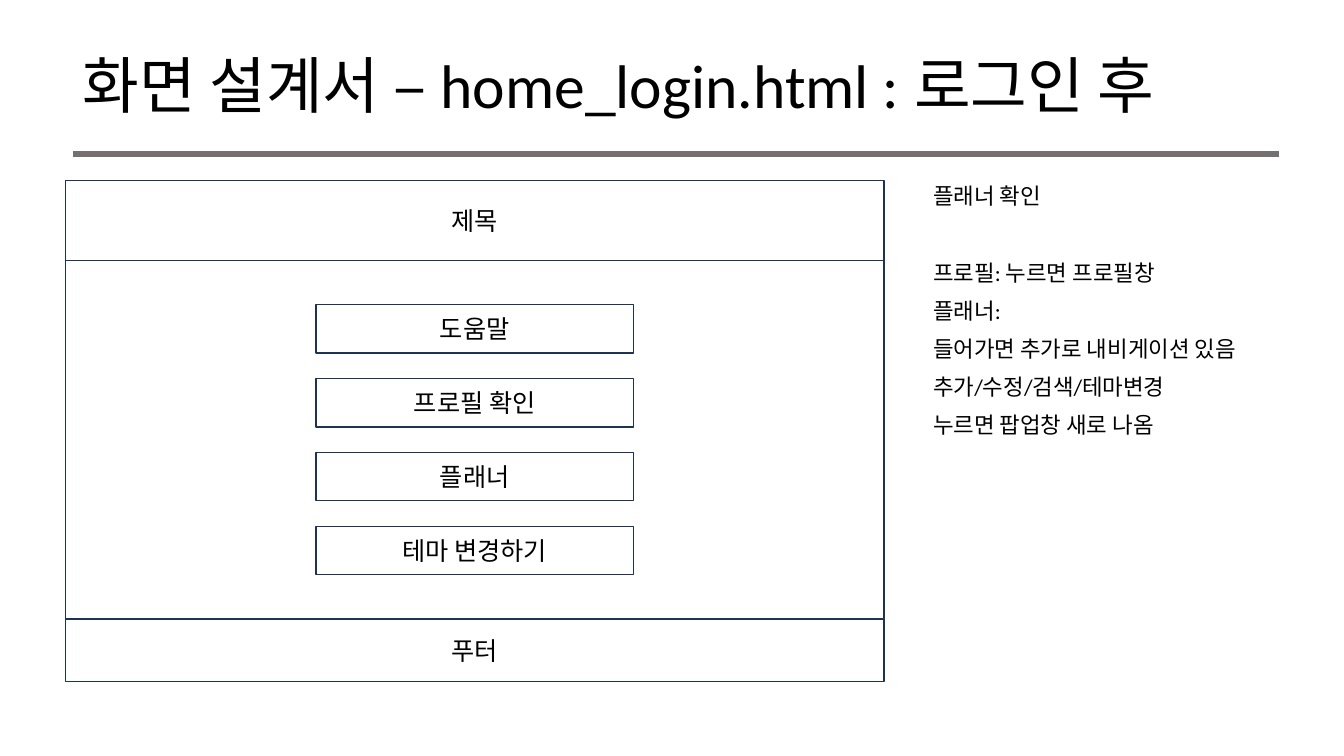
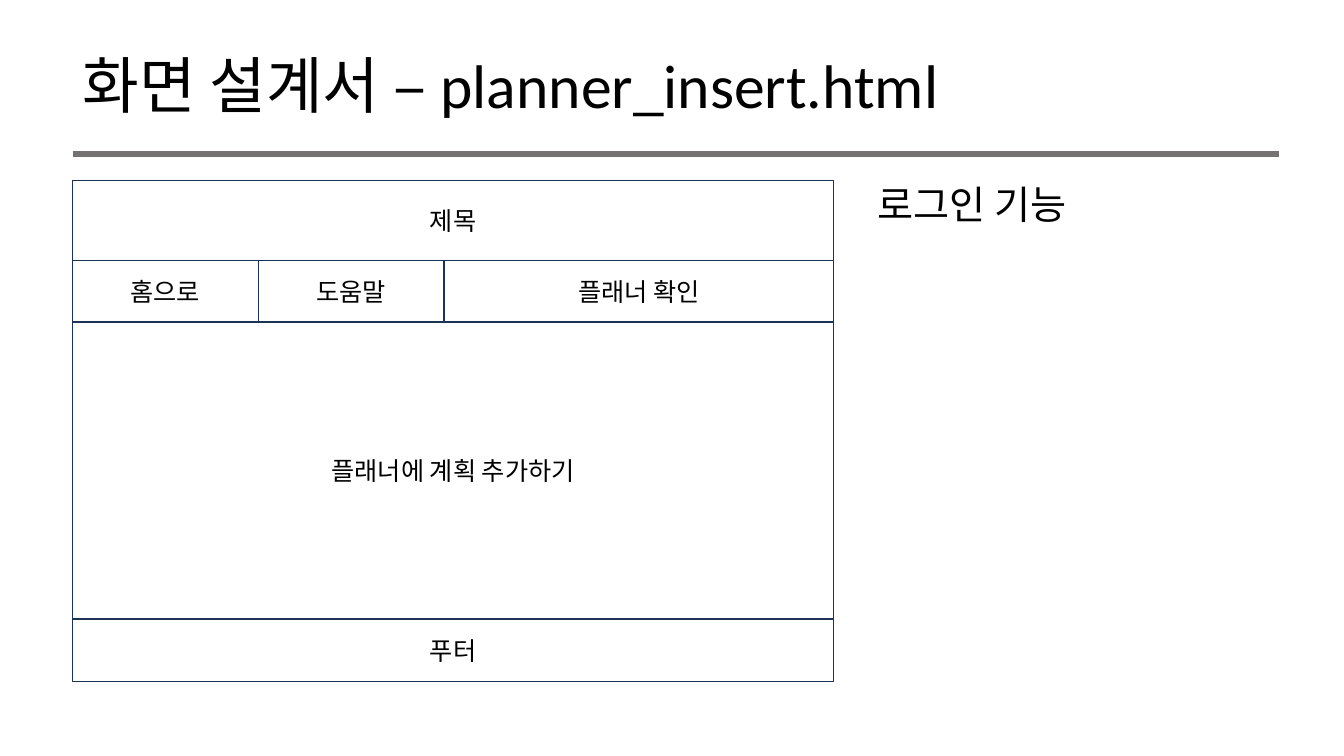
"""Builds two screen design slides with wireframes and notes."""
import pptx
import pptx.util
import pptx.dml.color
import pptx.enum.shapes
import pptx.enum.text
import lxml.etree

Pt = pptx.util.Pt
RGB = pptx.dml.color.RGBColor
MID = pptx.enum.text.MSO_ANCHOR.MIDDLE
TOP = pptx.enum.text.MSO_ANCHOR.TOP
CENTER = pptx.enum.text.PP_ALIGN.CENTER
RECT = pptx.enum.shapes.MSO_SHAPE.RECTANGLE
BLACK = RGB(0x00, 0x00, 0x00)
WHITE = RGB(0xFF, 0xFF, 0xFF)
NAVY = RGB(0x1E, 0x32, 0x56)
GRAY = RGB(0x76, 0x71, 0x71)

LEFT, RIGHT = 51.8, 913.7
HEAD, NAV, BODY, FOOT, END = 128.9, 186, 230, 442, 486.7
RULE = 110.2
BUTTON, STEP = (226.8, 34.6), 52.8

TITLE = {"line_spacing": 0.9}
NOTE = {"line_spacing": 0.9, "space_before": Pt(10)}
GAP = {"line_spacing": 0.9, "space_before": Pt(37.4)}
LABEL = {"alignment": CENTER}

SCREENS = [
    {
        "title": "화면 설계서 – home_login.html : 로그인 후",
        "frame": (46.8, 584.6),
        "nav": [],
        "body": "",
        "buttons": ["도움말", "프로필 확인", "플래너", "테마 변경하기"],
        "side": 659.5,
        "size": 16,
        "notes": [
            ("플래너 확인", NOTE),
            ("프로필: 누르면 프로필창", GAP),
            ("플래너:", NOTE),
            ("들어가면 추가로 내비게이션 있음", NOTE),
            ("추가/수정/검색/테마변경", NOTE),
            ("누르면 팝업창 새로 나옴", NOTE),
        ],
    },
    {
        "title": "화면 설계서 – planner_insert.html",
        "frame": (LEFT, 543.6),
        "nav": [("홈으로", 132.7), ("도움말", 132.7), ("플래너 확인", 278.2)],
        "body": "플래너에 계획 추가하기",
        "buttons": [],
        "side": 619.9,
        "size": 28,
        "notes": [("로그인 기능", NOTE)],
    },
]


def apply(item, values):
    for name, value in values.items():
        setattr(item, name, value)


def write(frame, lines, size, anchor):
    apply(frame, {"word_wrap": True, "vertical_anchor": anchor})
    for i, (text, form) in enumerate(lines):
        para = frame.add_paragraph() if i else frame.paragraphs[0]
        apply(para, form)
        run = para.add_run()
        run.text = text
        apply(run.font, {"size": Pt(size), "name": "Calibri"})
        run.font.color.rgb = BLACK


def add_text(slide, x, y, h, lines, size, anchor):
    box = slide.shapes.add_textbox(Pt(x), Pt(y), Pt(RIGHT - x), Pt(h))
    write(box.text_frame, lines, size, anchor)


def add_rule(slide):
    kind = pptx.enum.shapes.MSO_CONNECTOR.STRAIGHT
    rule = slide.shapes.add_connector(kind, Pt(LEFT), Pt(RULE), Pt(RIGHT), Pt(RULE))
    rule.line.color.rgb = GRAY
    rule.line.width = Pt(4.5)
    tag = pptx.oxml.ns.qn("a:effectLst")
    lxml.etree.SubElement(rule.line._get_or_add_ln().getparent(), tag)


def add_cell(slide, text, x, y, w, h):
    cell = slide.shapes.add_shape(RECT, Pt(x), Pt(y), Pt(w), Pt(h))
    cell.shadow.inherit = False
    cell.fill.solid()
    cell.fill.fore_color.rgb = WHITE
    cell.line.color.rgb = NAVY
    cell.line.width = Pt(1)
    if text:
        write(cell.text_frame, [(text, LABEL)], 18, MID)


def add_frame(slide, screen):
    left, width = screen["frame"]
    top = BODY if screen["nav"] else NAV
    bands = [("제목", HEAD, NAV), ("푸터", FOOT, END), (screen["body"], top, FOOT)]
    for text, start, end in bands:
        add_cell(slide, text, left, start, width, end - start)
    x = left
    for text, span in screen["nav"]:
        add_cell(slide, text, x, NAV, span, BODY - NAV)
        x += span
    wide, high = BUTTON
    stack = STEP * (len(screen["buttons"]) - 1) + high
    first = (top + FOOT - stack) / 2
    for i, text in enumerate(screen["buttons"]):
        add_cell(slide, text, left + (width - wide) / 2, first + i * STEP, wide, high)


def main():
    deck = pptx.Presentation()
    apply(deck, {"slide_width": Pt(960), "slide_height": Pt(540)})
    for screen in SCREENS:
        slide = deck.slides.add_slide(deck.slide_layouts[6])
        add_text(slide, LEFT, 28.8, 69.1, [(screen["title"], TITLE)], 44, MID)
        add_text(slide, screen["side"], HEAD, END - HEAD, screen["notes"], screen["size"], TOP)
        add_rule(slide)
        add_frame(slide, screen)
    deck.save("out.pptx")


if __name__ == "__main__":
    main()
